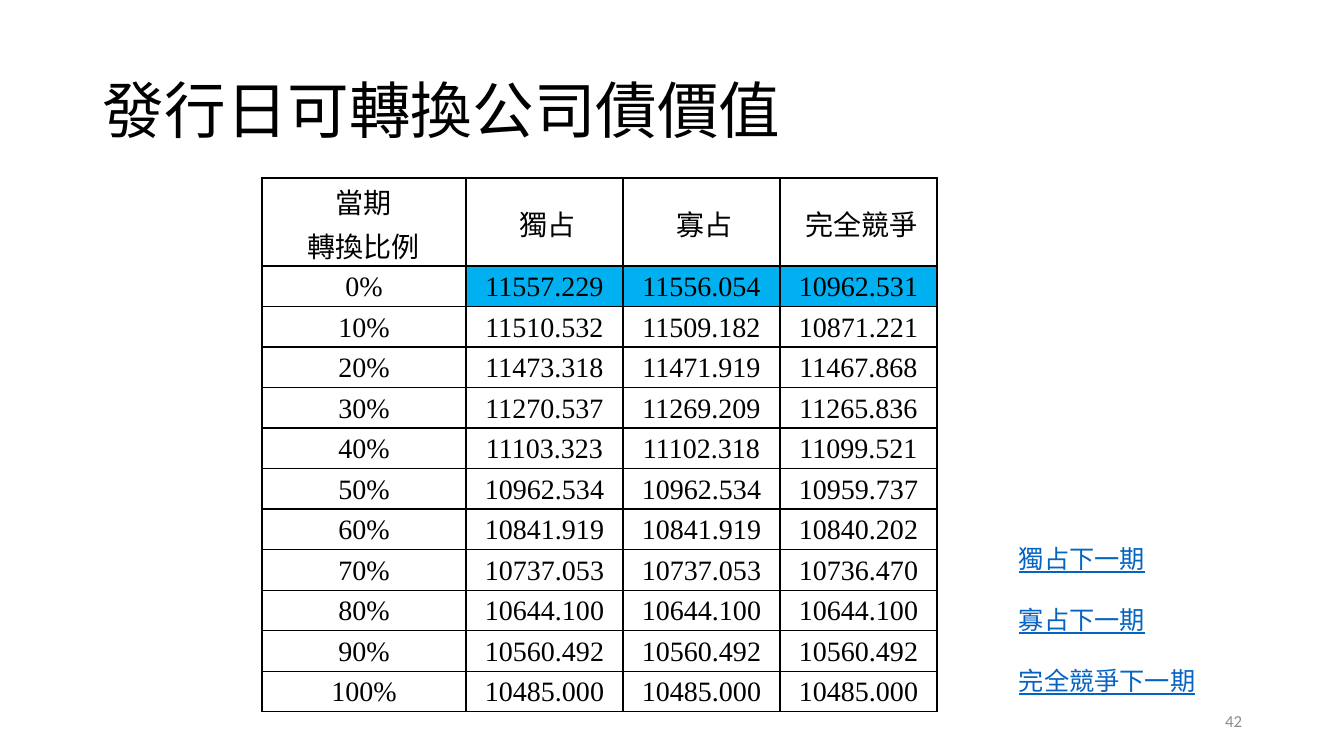
import pptx
import pptx.dml.color
import pptx.enum.text
import pptx.oxml
import pptx.oxml.ns
import pptx.util

SLIDE_WIDTH, SLIDE_HEIGHT = 1344, 756
SCALE = pptx.util.Inches(40 / 3) / SLIDE_WIDTH
BLACK, GREY, LINK_BLUE, HIGHLIGHT = "000000", "8C8C8C", "0563C1", "00B0F0"
ALIGN = pptx.enum.text.PP_ALIGN
MIDDLE = pptx.enum.text.MSO_ANCHOR.MIDDLE


def px(length):
    """Turn a length in px into EMU."""
    return pptx.util.Emu(round(length * SCALE))


def style_paragraph(para, font, size, color, align=ALIGN.LEFT, spacing=1.0):
    para.alignment = align
    para.line_spacing = spacing
    para.font.name = font
    para.font.size = pptx.util.Pt(size)
    para.font.color.rgb = pptx.dml.color.RGBColor.from_string(color)


deck = pptx.Presentation()
deck.slide_width, deck.slide_height = px(SLIDE_WIDTH), px(SLIDE_HEIGHT)
page = deck.slides.add_slide(deck.slide_layouts[6])

# Title
title = page.shapes.add_textbox(px(93), px(41), px(1159), px(146)).text_frame
title.word_wrap = True
title.vertical_anchor = MIDDLE
title.text = "發行日可轉換公司債價值"
style_paragraph(title.paragraphs[0], "Noto Sans CJK SC", 44, BLACK, spacing=0.9)

# Table of bond values by conversion ratio
rows = [
    ("當期\n轉換比例", "獨占", "寡占", "完全競爭"),
    ("0%", "11557.229", "11556.054", "10962.531"),
    ("10%", "11510.532", "11509.182", "10871.221"),
    ("20%", "11473.318", "11471.919", "11467.868"),
    ("30%", "11270.537", "11269.209", "11265.836"),
    ("40%", "11103.323", "11102.318", "11099.521"),
    ("50%", "10962.534", "10962.534", "10959.737"),
    ("60%", "10841.919", "10841.919", "10840.202"),
    ("70%", "10737.053", "10737.053", "10736.470"),
    ("80%", "10644.100", "10644.100", "10644.100"),
    ("90%", "10560.492", "10560.492", "10560.492"),
    ("100%", "10485.000", "10485.000", "10485.000"),
]
HEADER_HEIGHT, BODY_HEIGHT = 88, 446
column_widths = [204, 157, 157, 157]
table = page.shapes.add_table(
    len(rows), len(column_widths), px(262), px(178),
    px(sum(column_widths)), px(HEADER_HEIGHT + BODY_HEIGHT)).table
table.first_row = False
table.horz_banding = False
for column, width in zip(table.columns, column_widths):
    column.width = px(width)

for row_index, values in enumerate(rows):
    is_header = row_index == 0
    table.rows[row_index].height = px(
        HEADER_HEIGHT if is_header else BODY_HEIGHT / (len(rows) - 1))
    for column_index, value in enumerate(values):
        cell = table.cell(row_index, column_index)
        cell.text = value
        cell.vertical_anchor = MIDDLE
        cell.margin_left = px(13 if is_header and column_index else 7)
        cell.margin_right = px(7)
        cell.margin_top = cell.margin_bottom = 0
        for para in cell.text_frame.paragraphs:
            style_paragraph(para, "Times New Roman", 20, BLACK, ALIGN.CENTER, 1.07)
        properties = cell._tc.get_or_add_tcPr()
        for side in ("lnL", "lnR", "lnT", "lnB"):
            properties.append(pptx.oxml.parse_xml(
                f'<a:{side} {pptx.oxml.ns.nsdecls("a")} w="{pptx.util.Pt(1)}">'
                f'<a:solidFill><a:srgbClr val="{BLACK}"/></a:solidFill></a:{side}>'))
        if row_index == 1 and column_index:
            cell.fill.solid()
            cell.fill.fore_color.rgb = pptx.dml.color.RGBColor.from_string(HIGHLIGHT)
        else:
            cell.fill.background()

# Slide number
number = page.shapes.add_textbox(px(950), px(701), px(302), px(40)).text_frame
number.word_wrap = True
number.vertical_anchor = MIDDLE
number.text = "42"
style_paragraph(number.paragraphs[0], "Calibri", 12, GREY, ALIGN.RIGHT)

# Next-period labels
labels = [("獨占下一期", 182), ("寡占下一期", 182), ("完全競爭下一期", 220)]
for index, (text, width) in enumerate(labels):
    label = page.shapes.add_textbox(
        px(1009), px(538 + 61 * index), px(width), px(40)).text_frame
    label.word_wrap = True
    label.auto_size = pptx.enum.text.MSO_AUTO_SIZE.SHAPE_TO_FIT_TEXT
    label.text = text
    style_paragraph(label.paragraphs[0], "Calibri", 18, LINK_BLUE)
    label.paragraphs[0].font.underline = True

deck.save("out.pptx")
